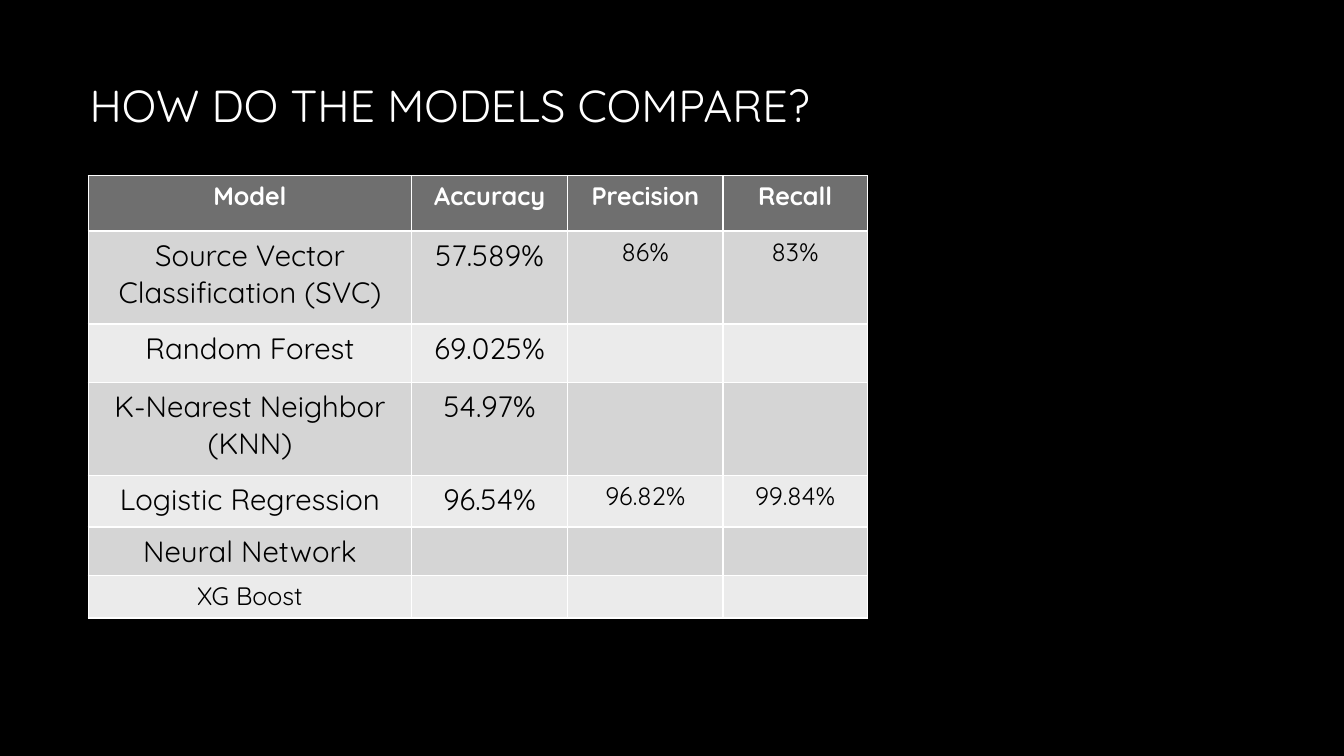
from pptx import Presentation
from pptx.dml.color import RGBColor
from pptx.enum.text import MSO_ANCHOR, PP_ALIGN
from pptx.util import Pt

FONT = "Quicksand"
WHITE, BLACK = "FFFFFF", "000000"
HEADER_FILL, DARK_BAND, LIGHT_BAND = "6F6F6F", "D5D5D5", "EBEBEB"


def paint(fill, color):
    fill.solid()
    fill.fore_color.rgb = RGBColor.from_string(color)


def style(paragraph, size, color, bold=False):
    paragraph.font.name = FONT
    paragraph.font.size = Pt(size)
    paragraph.font.bold = bold
    paint(paragraph.font.fill, color)


deck = Presentation()
deck.slide_width, deck.slide_height = Pt(960), Pt(540)
slide = deck.slides.add_slide(deck.slide_layouts[6])
paint(slide.background.fill, BLACK)

title = slide.shapes.add_textbox(Pt(57), Pt(0), Pt(780), Pt(150)).text_frame
title.word_wrap = True
title.vertical_anchor = MSO_ANCHOR.MIDDLE
title.text = "HOW DO THE MODELS COMPARE?"
style(title.paragraphs[0], 32, WHITE)

scores = [
    ("Model", "Accuracy", "Precision", "Recall"),
    ("Source Vector Classification (SVC)", "57.589%", "86%", "83%"),
    ("Random Forest", "69.025%", "", ""),
    ("K-Nearest Neighbor (KNN)", "54.97%", "", ""),
    ("Logistic Regression", "96.54%", "96.82%", "99.84%"),
    ("Neural Network", "", "", ""),
    ("XG Boost", "", "", ""),
]
column_widths = [231, 111.5, 111, 103]
row_heights = [39.5, 66.5, 41.5, 66.5, 37, 34.5, 30.5]

comparison = slide.shapes.add_table(
    len(scores), len(column_widths), Pt(63), Pt(125.5),
    Pt(sum(column_widths)), Pt(sum(row_heights))).table
for column, width in zip(comparison.columns, column_widths):
    column.width = Pt(width)
for row, height in zip(comparison.rows, row_heights):
    row.height = Pt(height)

last = len(scores) - 1
for r, values in enumerate(scores):
    is_header = r == 0
    band = HEADER_FILL if is_header else DARK_BAND if r % 2 else LIGHT_BAND
    for c, value in enumerate(values):
        cell = comparison.cell(r, c)
        paint(cell.fill, band)
        is_large = 0 < r < last and c < 2 and value != ""
        if is_large:
            cell.margin_left = cell.margin_right = Pt(8.5)
            cell.margin_top = cell.margin_bottom = Pt(4.25)
        cell.text = value
        entry = cell.text_frame.paragraphs[0]
        entry.alignment = PP_ALIGN.CENTER
        style(entry, 21 if is_large else 18, WHITE if is_header else BLACK, is_header)

deck.save("out.pptx")
